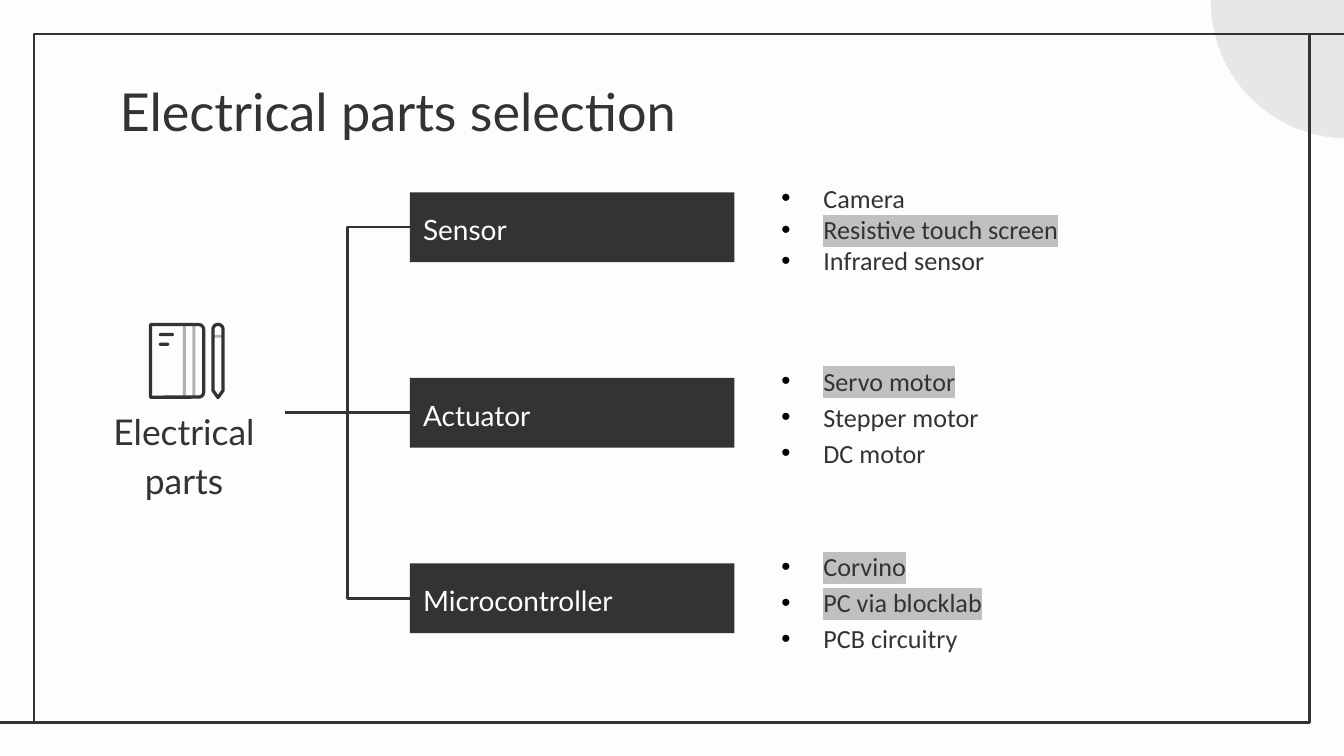
"""Build the electrical parts selection slide."""
import math

from lxml import etree
from pptx import Presentation
from pptx.dml.color import RGBColor
from pptx.enum.shapes import MSO_CONNECTOR, MSO_SHAPE
from pptx.enum.text import MSO_ANCHOR, MSO_AUTO_SIZE, PP_ALIGN
from pptx.oxml.ns import qn
from pptx.util import Pt

ELBOW, STRAIGHT = MSO_CONNECTOR.ELBOW, MSO_CONNECTOR.STRAIGHT
RECTANGLE, ROUNDED = MSO_SHAPE.RECTANGLE, MSO_SHAPE.ROUNDED_RECTANGLE
TOP, MIDDLE, BOTTOM = MSO_ANCHOR.TOP, MSO_ANCHOR.MIDDLE, MSO_ANCHOR.BOTTOM
LEFT, CENTER = PP_ALIGN.LEFT, PP_ALIGN.CENTER
DARK, PALE, STRIPE, MARK = "333333", "FDFDFD", "B2B2B2", "C0C0C0"
INSET = 7.2


def color(hex_string):
    return RGBColor.from_string(hex_string)


def write(shape, box, lines, size, font, ink, anchor, align=LEFT, spacing=1.0, bullets=False, marked=()):
    """Place a shape and fill it with formatted paragraphs."""
    shape.left, shape.top, shape.width, shape.height = map(Pt, box)
    frame = shape.text_frame
    frame.word_wrap, frame.auto_size, frame.vertical_anchor = True, MSO_AUTO_SIZE.NONE, anchor
    frame.margin_left = frame.margin_right = frame.margin_top = frame.margin_bottom = Pt(INSET)
    frame.text = "\n".join(lines)
    for paragraph in frame.paragraphs:
        paragraph.alignment, paragraph.line_spacing = align, spacing
        paragraph.space_before = Pt(0)
        properties = paragraph._p.get_or_add_pPr()
        indent = Pt(22.5) if bullets else 0
        properties.set("marL", str(indent))
        properties.set("indent", str(-indent))
        if bullets:
            bullet_color = etree.SubElement(properties, qn("a:buClr"))
            etree.SubElement(bullet_color, qn("a:srgbClr"), val="000000")
            etree.SubElement(properties, qn("a:buFont"), typeface="Arial")
            etree.SubElement(properties, qn("a:buChar"), char="•")
        else:
            etree.SubElement(properties, qn("a:buNone"))
        paragraph.font.size, paragraph.font.name, paragraph.font.bold = Pt(size), font, False
        paragraph.font.color.rgb = color(ink)
        if paragraph.text in marked:
            run_properties = paragraph.runs[0]._r.get_or_add_rPr()
            highlight = etree.SubElement(run_properties, qn("a:highlight"))
            etree.SubElement(highlight, qn("a:srgbClr"), val=MARK)


presentation = Presentation()
presentation.slide_width, presentation.slide_height = Pt(720), Pt(405)
slide = presentation.slides.add_slide(presentation.slide_layouts[4])
slide.background.fill.solid()
slide.background.fill.fore_color.rgb = color(PALE)
shapes = slide.shapes
title, caption, *lists = slide.placeholders

circle = shapes.add_shape(MSO_SHAPE.OVAL, Pt(648.7), Pt(-72.7), Pt(146.9), Pt(146.9))
frame_box = shapes.add_shape(RECTANGLE, Pt(18.2), Pt(18.2), Pt(683.3), Pt(368.8))
circle.shadow.inherit = frame_box.shadow.inherit = False
circle.fill.solid()
circle.fill.fore_color.rgb = color("E8E7E7")
circle.line.fill.background()
frame_box.fill.background()
frame_box.line.color.rgb = color(DARK)
frame_box.line.width = Pt(1.5)

write(title, (56.9, 35.3, 607, 45.4), ["Electrical parts selection"], 28, "Lato", DARK, TOP)
write(caption, (44.6, 166.3, 108, 109.4), ["Electrical parts"], 19, "Lato", DARK, BOTTOM, CENTER, 1.15)

groups = [
    ("Sensor", ["Camera", "Resistive touch screen", "Infrared sensor"], ["Resistive touch screen"], 1.0),
    ("Actuator", ["Servo motor", "Stepper motor", "DC motor"], ["Servo motor"], 1.15),
    ("Microcontroller", ["Corvino", "PC via blocklab", "PCB circuitry"], ["Corvino", "PC via blocklab"], 1.15),
]
first_center, pitch = 121.7, 99.4
root_y = first_center + pitch
lines = [(STRAIGHT, 18.7, 387, -1, 387), (STRAIGHT, 721, 18.2, 701.5, 18.2)]
for index, (name, items, marked, spacing) in enumerate(groups):
    center = first_center + index * pitch
    write(lists[index], (411.4, center - 26.7, 262, 55.4), items, 14, "Calibri", DARK, MIDDLE,
          spacing=spacing, bullets=True, marked=marked)
    bar = shapes.add_shape(RECTANGLE, 0, 0, 0, 0)
    bar.shadow.inherit = False
    bar.fill.solid()
    bar.fill.fore_color.rgb = color(DARK)
    bar.line.fill.background()
    write(bar, (219.6, center - 18.7, 173.8, 37.4), [name], 15, "Lato", PALE, MIDDLE, spacing=1.15)
    lines.append((ELBOW, 152.6, root_y, 219.6, center))

for kind, *ends in lines:
    connector = shapes.add_connector(kind, *map(Pt, ends))
    connector.line.color.rgb = color(DARK)
    connector.line.width = Pt(1.5)
    etree.SubElement(connector._element.spPr, qn("a:effectLst"))

icon_bars = [
    (RECTANGLE, 103.1, 174, 1.6, 38.6, STRIPE),
    (RECTANGLE, 98, 174, 1.6, 38.6, STRIPE),
    (RECTANGLE, 114.5, 179.4, 4.8, 1.6, STRIPE),
    (ROUNDED, 85.1, 178.4, 8.1, 1.7, DARK),
    (ROUNDED, 85.1, 183.6, 5.6, 1.7, DARK),
]
for kind, left, top, width, height, fill in icon_bars:
    bar = shapes.add_shape(kind, Pt(left), Pt(top), Pt(width), Pt(height))
    bar.shadow.inherit = False
    bar.fill.solid()
    bar.fill.fore_color.rgb = color(fill)
    bar.line.fill.background()
    if kind == ROUNDED:
        bar.adjustments[0] = 0.5

notebook = shapes.add_shape(MSO_SHAPE.ROUND_2_SAME_RECTANGLE, Pt(75.4), Pt(179.1), Pt(38.9), Pt(28.5))
notebook.rotation = 90
notebook.adjustments[0] = 0.09
pen_x, cap_y, radius = 116.8, 176.5, 2.7
cap = [(pen_x - radius * math.cos(math.radians(angle)), cap_y - radius * math.sin(math.radians(angle)))
       for angle in range(0, 181, 15)]
points = [(Pt(x), Pt(y)) for x, y in cap + [(pen_x + radius, 209.2), (pen_x, 213), (pen_x - radius, 209.2)]]
builder = shapes.build_freeform(*points[0])
builder.add_line_segments(points[1:], close=True)
for outline in (notebook, builder.convert_to_shape()):
    outline.shadow.inherit = False
    outline.fill.background()
    outline.line.color.rgb = color(DARK)
    outline.line.width = Pt(1.75)

presentation.save("out.pptx")
